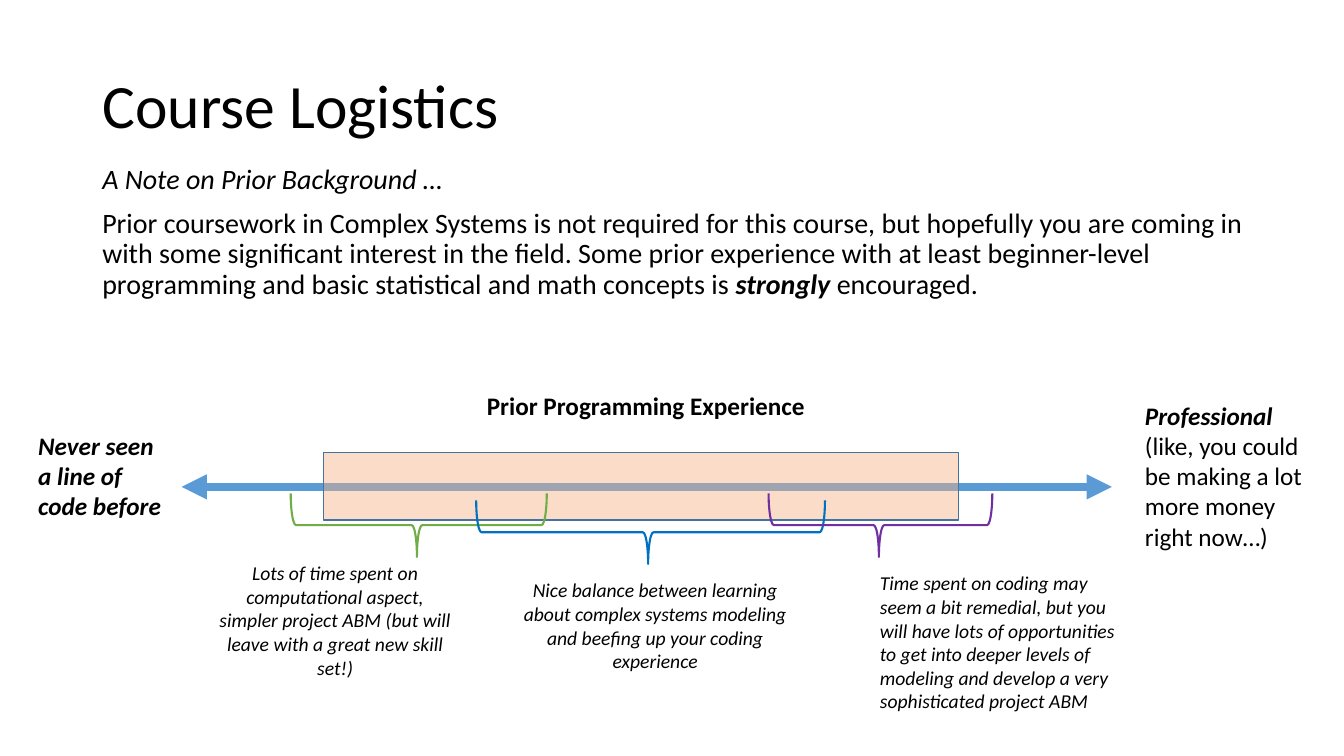
from dataclasses import dataclass

from lxml import etree
from pptx import Presentation
from pptx.dml.color import RGBColor
from pptx.enum import shapes, text
from pptx.oxml import ns
from pptx.util import Pt


@dataclass(frozen=True)
class Theme:
    font: str = "Calibri"
    ink: str = "000000"
    axis: str = "5B9BD5"
    band: str = "F4B183"
    band_edge: str = "43739E"
    green: str = "70AD47"
    blue: str = "0070C0"
    purple: str = "7030A0"
    title: int = 44
    body: int = 20
    label: int = 18
    note: int = 14


THEME = Theme()
BOLD, ITALIC = {"bold": True}, {"italic": True}
BOLD_ITALIC = BOLD | ITALIC
LEFT, CENTER = text.PP_ALIGN.LEFT, text.PP_ALIGN.CENTER


def color(value):
    return RGBColor.from_string(value)


def write(s, paragraphs, size, align=LEFT, **spacing):
    """Fill a shape with paragraphs, each a list of (words, font format) runs."""
    tf = s.text_frame
    tf.word_wrap = True
    for i, runs in enumerate(paragraphs):
        p = tf.paragraphs[0] if i == 0 else tf.add_paragraph()
        for name, value in {"alignment": align, **spacing}.items():
            setattr(p, name, value)
        for words, style in runs:
            r = p.add_run()
            r.text = words
            r.font.color.rgb = color(THEME.ink)
            for name, value in {"name": THEME.font, "size": Pt(size), **style}.items():
                setattr(r.font, name, value)


def add_text(slide, box, paragraphs, size, **layout):
    s = slide.shapes.add_textbox(*map(Pt, box))
    write(s, paragraphs, size, **layout)


def add_title(slide, box):
    s = slide.shapes.title
    for name, value in zip(("left", "top", "width", "height"), box):
        setattr(s, name, Pt(value))
    s.text_frame.auto_size = text.MSO_AUTO_SIZE.NONE
    s.text_frame.vertical_anchor = text.MSO_ANCHOR.MIDDLE
    write(s, [[("Course Logistics", {})]], THEME.title, line_spacing=0.9)


def add_background_note(slide, box):
    add_text(slide, box, [
        [("A Note on Prior Background …", ITALIC)],
        [("Prior coursework in Complex Systems is not required for this course, "
          "but hopefully you are coming in with some significant interest in the "
          "field. Some prior experience with at least beginner-level programming "
          "and basic statistical and math concepts is ", {}),
         ("strongly", BOLD_ITALIC), (" encouraged.", {})],
    ], THEME.body, line_spacing=0.9, space_before=Pt(10))


def add_axis(slide, left, right, y):
    """Draw a double-headed arrow across the scale."""
    s = slide.shapes.add_connector(
        shapes.MSO_CONNECTOR.STRAIGHT, Pt(left), Pt(y), Pt(right), Pt(y))
    s.line.color.rgb = color(THEME.axis)
    s.line.width = Pt(6)
    ln = s.line._get_or_add_ln()
    for end in ("a:headEnd", "a:tailEnd"):
        etree.SubElement(ln, ns.qn(end), type="triangle")
    etree.SubElement(s._element.spPr, ns.qn("a:effectLst"))


def add_band(slide, box):
    """Shade the expected range, see-through so that the axis shows."""
    s = slide.shapes.add_shape(shapes.MSO_SHAPE.RECTANGLE, *map(Pt, box))
    s.shadow.inherit = False
    s.fill.solid()
    s.fill.fore_color.rgb = color(THEME.band)
    fill = s._element.spPr.find(ns.qn("a:solidFill"))
    etree.SubElement(fill[0], ns.qn("a:alpha"), val="44000")
    s.line.color.rgb = color(THEME.band_edge)
    s.line.width = Pt(1)


def add_brace(slide, box, line_color):
    """Draw a brace that opens upward and fills the box once rotated."""
    x, y, w, h = box
    s = slide.shapes.add_shape(
        shapes.MSO_SHAPE.LEFT_BRACE,
        *map(Pt, (x + (w - h) / 2, y + (h - w) / 2, h, w)))
    s.rotation = 270
    s.adjustments[0], s.adjustments[1] = 0.083, 0.493
    s.shadow.inherit = False
    s.fill.background()
    s.line.color.rgb = color(line_color)
    s.line.width = Pt(1.5)


def add_experience_scale(slide, box):
    """Place the axis, its labels and the braced notes relative to the box."""
    x, y, w, h = box

    def at(dx, dy, width, height):
        return x + dx, y + dy, width, height

    add_axis(slide, x + 109.5, x + 774, y + 72.8)
    labels = [
        (at(0, 28.8, 109.4, 72.7),
         [[("Never seen a line of code before", BOLD_ITALIC)]]),
        (at(320.4, 0, 243.4, 28.8), [[("Prior Programming Experience", BOLD)]]),
        (at(w - 136.8, 7.2, 136.8, 116.6),
         [[("Professional", BOLD_ITALIC)],
          [("(like, you could be making a lot more money right now…)", {})]]),
    ]
    for label_box, paragraphs in labels:
        add_text(slide, label_box, paragraphs, THEME.label)
    add_band(slide, at(211, 48.2, 453.6, 48.2))

    notes = [
        (THEME.green, at(187.5, 77.4, 182.9, 45.4), at(126.7, 122.4, 185, 92.2), CENTER,
         "Lots of time spent on computational aspect, simpler project ABM "
         "(but will leave with a great new skill set!)"),
        (THEME.blue, at(320, 82.5, 249.1, 45.4), at(344.9, 134.6, 205.9, 74.9), CENTER,
         "Nice balance between learning about complex systems modeling "
         "and beefing up your coding experience"),
        (THEME.purple, at(528.8, 77.4, 159.8, 45.4), at(601.2, 129.6, 193.7, 108.7), LEFT,
         "Time spent on coding may seem a bit remedial, but you will have lots "
         "of opportunities to get into deeper levels of modeling and develop "
         "a very sophisticated project ABM"),
    ]
    for line_color, brace_box, note_box, align, words in notes:
        add_text(slide, note_box, [[(words, ITALIC)]], THEME.note, align=align)
        add_brace(slide, brace_box, line_color)


def main():
    prs = Presentation()
    prs.slide_width, prs.slide_height = Pt(960), Pt(540)
    slide = prs.slides.add_slide(prs.slide_layouts[5])
    add_title(slide, (66, 25.2, 828, 104.4))
    add_background_note(slide, (66, 114.5, 866.2, 342.7))
    add_experience_scale(slide, (20.2, 275, 927.4, 238.3))
    prs.save("out.pptx")


if __name__ == "__main__":
    main()
